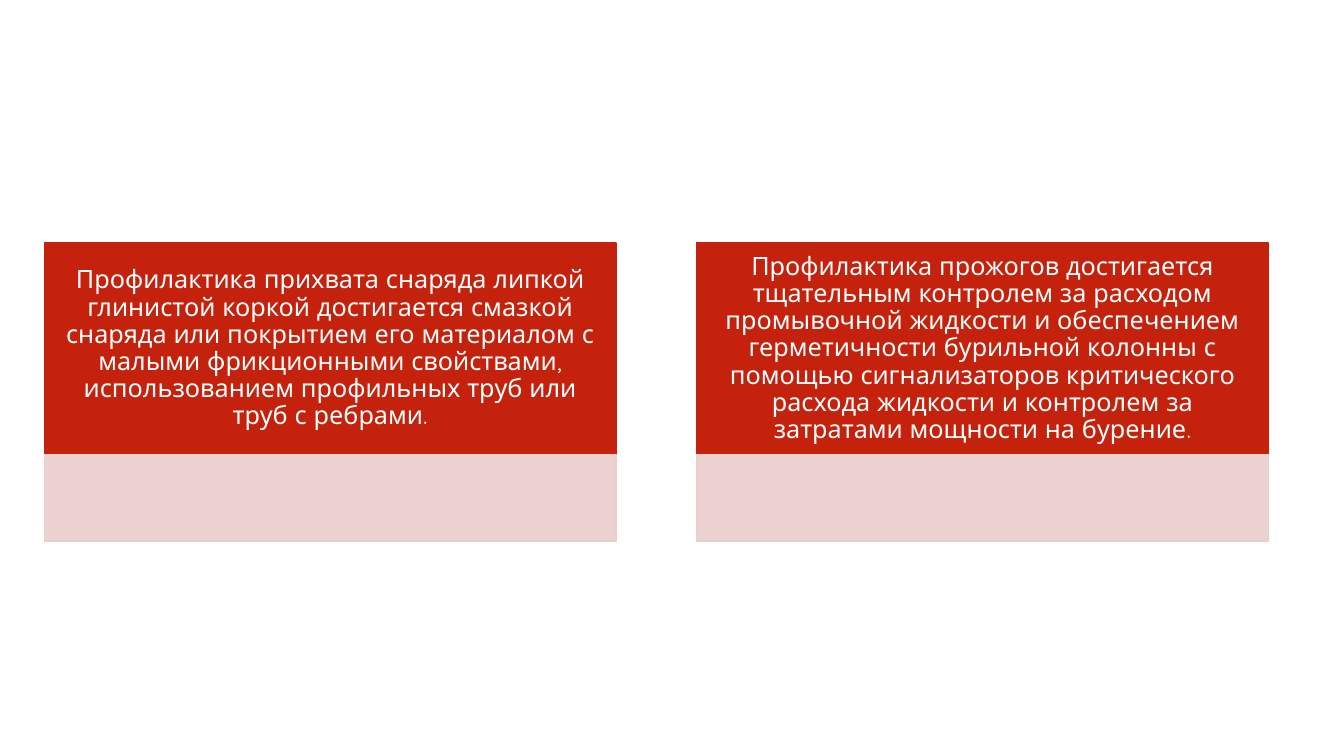
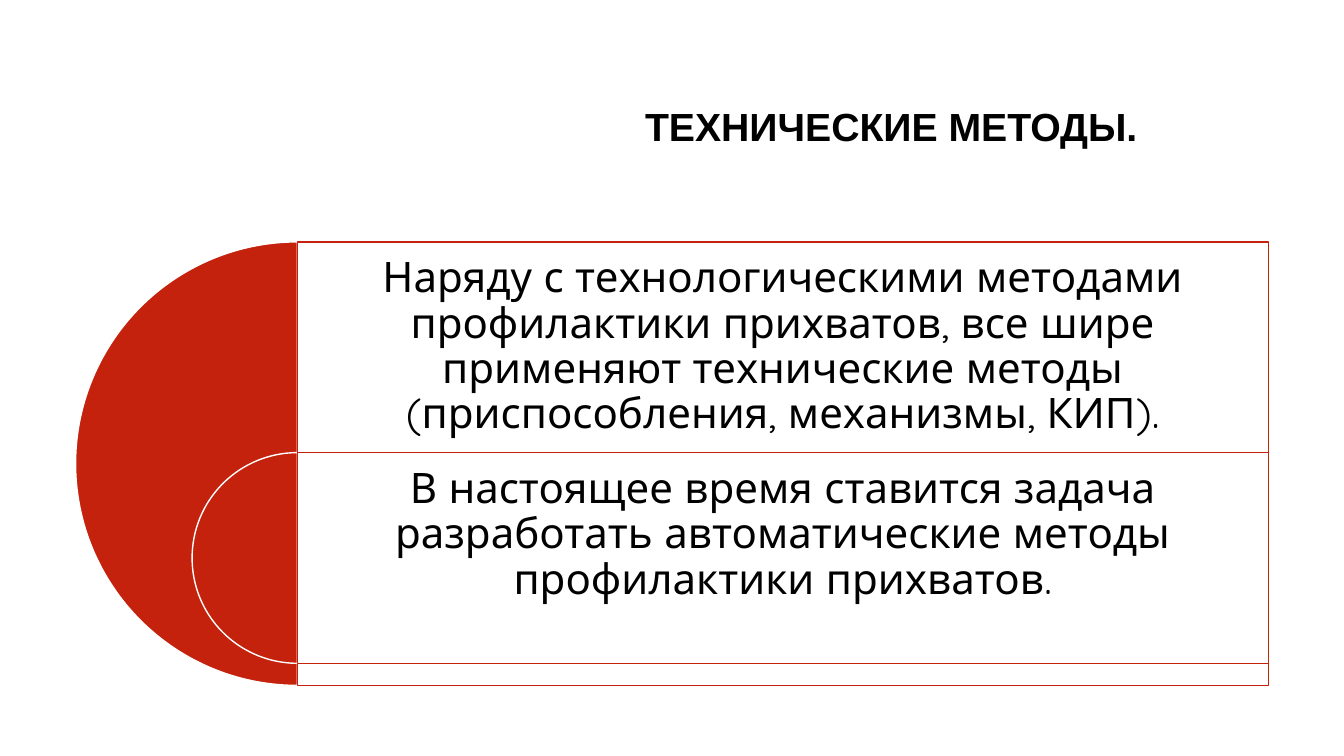
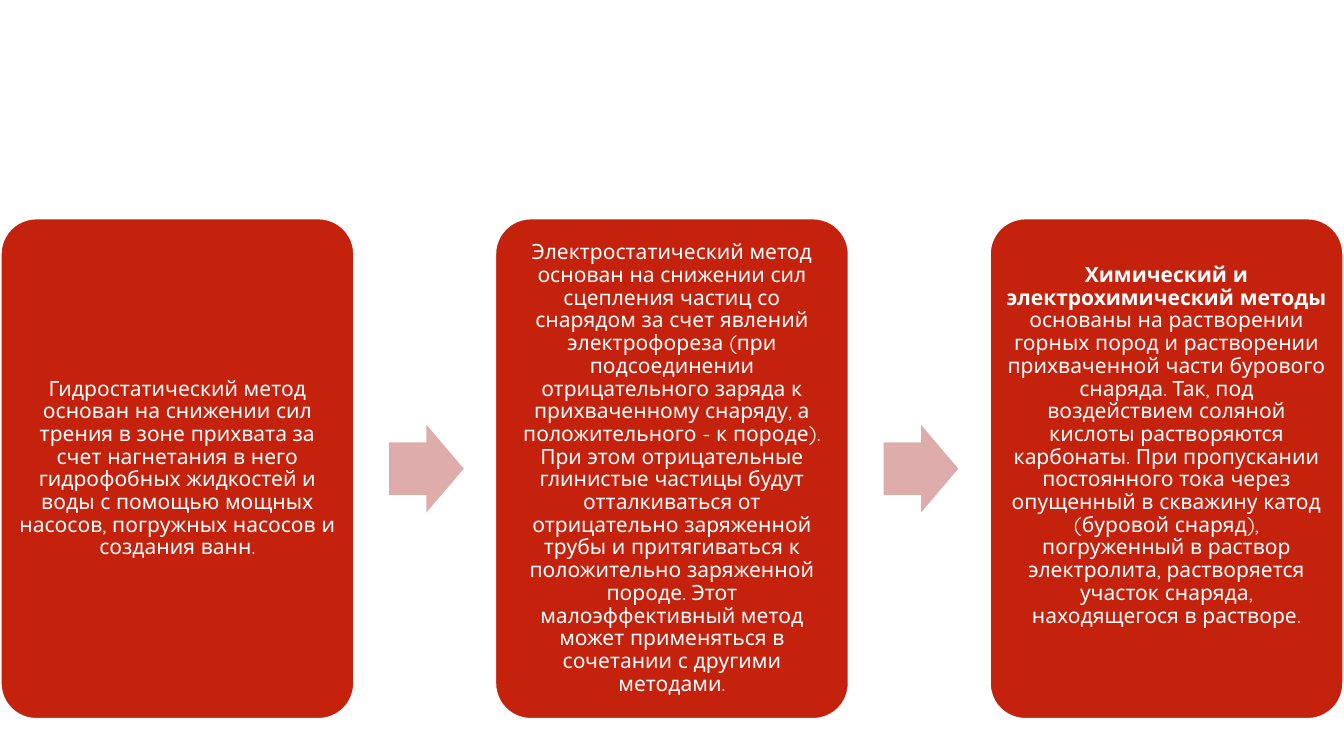
from lxml.etree import SubElement
from pptx import Presentation
from pptx.dml.color import RGBColor
from pptx.enum.shapes import MSO_SHAPE
from pptx.enum.text import MSO_ANCHOR, PP_ALIGN
from pptx.oxml.ns import qn
from pptx.util import Inches, Pt

COLORS = {
    "red": "C4220D",
    "pale": "EACDCC",
    "arrow": "DEACAB",
    "white": "FFFFFF",
    "black": "000000",
}
BODY_FONT = "Quicksand"
TITLE_FONT = "Arial"
LINE_SPACING = 0.9
TITLE_LAYOUT = 5
BLANK_LAYOUT = 6
SLIDE_WIDTH = 13.33
SLIDE_HEIGHT = 7.5

PREVENTION = [
    "Профилактика прихвата снаряда липкой глинистой коркой достигается смазкой снаряда "
    "или покрытием его материалом с малыми фрикционными свойствами, использованием "
    "профильных труб или труб с ребрами.",
    "Профилактика прожогов достигается тщательным контролем за расходом промывочной "
    "жидкости и обеспечением герметичности бурильной колонны с помощью сигнализаторов "
    "критического расхода жидкости и контролем за затратами мощности на бурение.",
]
TECHNICAL = [
    "Наряду с технологическими методами профилактики прихватов, все шире применяют "
    "технические методы (приспособления, механизмы, КИП).",
    "В настоящее время ставится задача разработать автоматические методы профилактики "
    "прихватов.",
]
METHODS = [
    [("Гидростатический метод основан на снижении сил трения в зоне прихвата за счет "
      "нагнетания в него гидрофобных жидкостей и воды с помощью мощных насосов, "
      "погружных насосов и создания ванн.", False)],
    [("Электростатический метод основан на снижении сил сцепления частиц со снарядом за "
      "счет явлений электрофореза (при подсоединении отрицательного заряда к "
      "прихваченному снаряду, а положительного - к породе). При этом отрицательные "
      "глинистые частицы будут отталкиваться от отрицательно заряженной трубы и "
      "притягиваться к положительно заряженной породе. Этот малоэффективный метод может "
      "применяться в сочетании с другими методами.", False)],
    [("Химический и электрохимический методы", True),
     (" основаны на растворении горных пород и растворении прихваченной части бурового "
      "снаряда. Так, под воздействием соляной кислоты растворяются карбонаты. При "
      "пропускании постоянного тока через опущенный в скважину катод (буровой снаряд), "
      "погруженный в раствор электролита, растворяется участок снаряда, находящегося в "
      "растворе.", False)],
]


def set_color(fill, color, opacity=100):
    """Apply a solid named colour, optionally translucent."""
    fill.solid()
    fill.fore_color.rgb = RGBColor.from_string(COLORS[color])
    if opacity < 100:
        for element in fill._xPr.iter(qn("a:srgbClr")):
            SubElement(element, qn("a:alpha"), val=str(opacity * 1000))


def add_block(slide, kind, box, fill, line=None, opacity=100, adjustments=()):
    """Add a flat preset shape."""
    shape = slide.shapes.add_shape(kind, *map(Inches, box))
    shape.shadow.inherit = False
    for index, value in enumerate(adjustments):
        shape.adjustments[index] = value
    set_color(shape.fill, fill, opacity)
    if line:
        set_color(shape.line.fill, line)
        shape.line.width = Pt(1)
    else:
        shape.line.fill.background()
    return shape


def write_text(shape, runs, size, color, margins=None, font=BODY_FONT, align=PP_ALIGN.CENTER):
    """Write one paragraph of (text, bold) runs; margins are left, top, right, bottom."""
    frame = shape.text_frame
    frame.word_wrap = True
    frame.vertical_anchor = MSO_ANCHOR.MIDDLE
    if margins:
        (frame.margin_left, frame.margin_top,
         frame.margin_right, frame.margin_bottom) = map(Inches, margins)
    paragraph = frame.paragraphs[0]
    paragraph.alignment = align
    paragraph.line_spacing = LINE_SPACING
    for text, bold in runs:
        run = paragraph.add_run()
        run.text = text
        run.font.name = font
        run.font.size = Pt(size)
        run.font.bold = bold
        set_color(run.font.fill, color)


def add_slide(presentation, title=None):
    """Add a slide with or without a title."""
    layout = TITLE_LAYOUT if title else BLANK_LAYOUT
    slide = presentation.slides.add_slide(presentation.slide_layouts[layout])
    if title:
        shape = slide.shapes.title
        shape.left, shape.top, shape.width, shape.height = map(Inches, (1.96, 0.57, 9.42, 1.41))
        write_text(shape, [(title, True)], 28, "black", font=TITLE_FONT, align=PP_ALIGN.RIGHT)
    return slide


def build_prevention(presentation):
    """Build two red panels with pale feet."""
    slide = add_slide(presentation)
    top, width, height, gap = 2.41, 5.67, 2.1, 0.8
    for index, text in enumerate(PREVENTION):
        left = 0.44 + index * (width + gap)
        panel = add_block(slide, MSO_SHAPE.RECTANGLE, (left, top, width, height), "red", "red")
        write_text(panel, [(text, False)], 18, "white", (0.14, 0.08, 0.14, 0.08))
        add_block(slide, MSO_SHAPE.RECTANGLE, (left, top + height, width, 0.86),
                  "pale", "pale", opacity=90)


def build_technical(presentation):
    """Build nested half circles with their framed statements."""
    slide = add_slide(presentation, "ТЕХНИЧЕСКИЕ МЕТОДЫ.")
    center, width, row, margin = 2.95, 9.63, 2.09, 0.12
    levels = [(2.4, 4.4, 4.4 - row), (4.49, row, 0.45)]
    for text, (top, diameter, space_below) in zip(TECHNICAL, levels):
        add_block(slide, MSO_SHAPE.PIE, (center - diameter / 2, top, diameter, diameter),
                  "red", "white", adjustments=(54, 162))
        frame = add_block(slide, MSO_SHAPE.RECTANGLE, (center, top, width, diameter),
                          "white", "red", opacity=90)
        write_text(frame, [(text, False)], 30, "black",
                   (margin, margin, margin, margin + space_below))


def build_methods(presentation):
    """Build three cards joined by block arrows."""
    slide = add_slide(presentation)
    edge, top, width, height, margin = 0.01, 2.17, 3.5, 4.96, 0.06
    arrow_width, arrow_height = 0.74, 0.87
    pitch = (SLIDE_WIDTH - 2 * edge - width) / (len(METHODS) - 1)
    spaces_below = [0, 0, 0.45]
    for index, (runs, space_below) in enumerate(zip(METHODS, spaces_below)):
        left = edge + index * pitch
        if index:
            arrow_left = left - pitch + width + 0.35
            arrow_top = top + (height - arrow_height) / 2
            add_block(slide, MSO_SHAPE.RIGHT_ARROW,
                      (arrow_left, arrow_top, arrow_width, arrow_height),
                      "arrow", adjustments=(0.6, 0.5))
        card = add_block(slide, MSO_SHAPE.ROUNDED_RECTANGLE, (left, top, width, height),
                         "red", "white", adjustments=(0.1,))
        write_text(card, runs, 15, "white", (margin, margin, margin, margin + space_below))


def main():
    """Build and save the presentation."""
    presentation = Presentation()
    presentation.slide_width = Inches(SLIDE_WIDTH)
    presentation.slide_height = Inches(SLIDE_HEIGHT)
    build_prevention(presentation)
    build_technical(presentation)
    build_methods(presentation)
    presentation.save("out.pptx")


if __name__ == "__main__":
    main()
